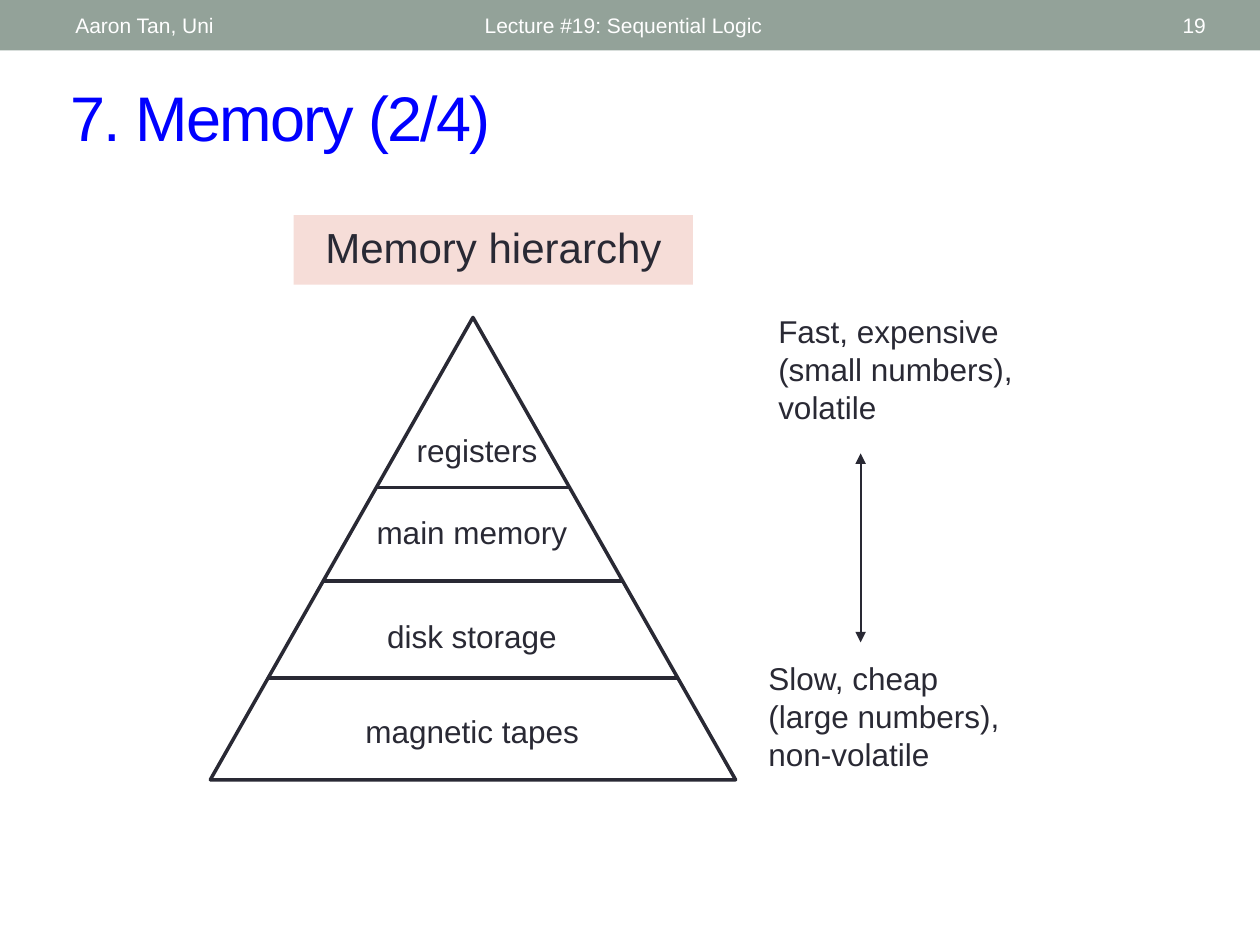
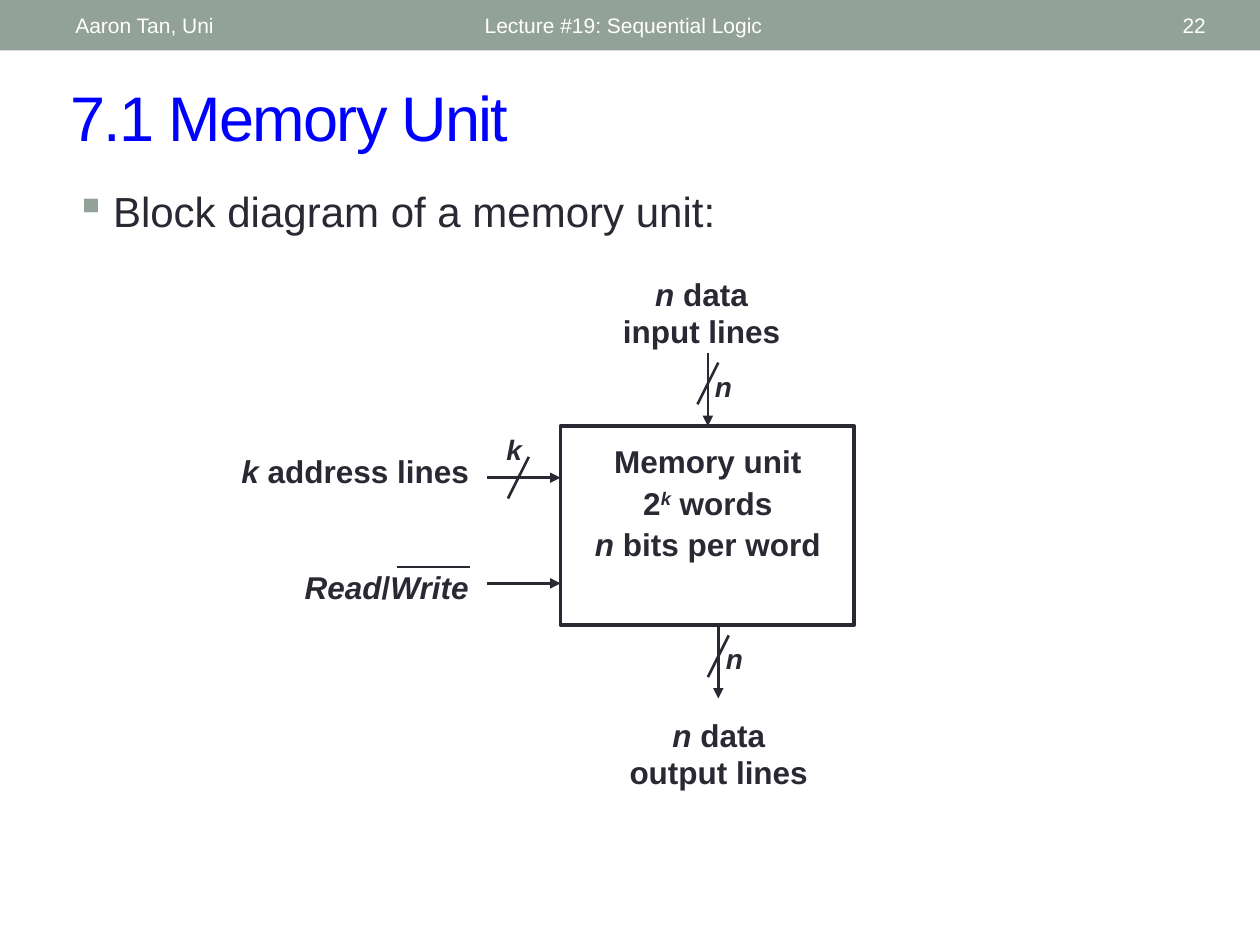
"""Build two lecture slides on the memory hierarchy and the memory unit."""
from lxml.etree import SubElement
from pptx import Presentation
from pptx.dml.color import RGBColor
from pptx.enum.shapes import MSO_CONNECTOR, MSO_SHAPE
from pptx.enum.text import MSO_ANCHOR as ANCHOR, MSO_AUTO_SIZE, PP_ALIGN as ALIGN
from pptx.oxml.ns import qn
from pptx.util import Cm, Pt

WHITE = RGBColor(0xFF, 0xFF, 0xFF)
SAGE = RGBColor(0x93, 0xA2, 0x99)
INK = RGBColor(0x29, 0x29, 0x34)
BLUE = RGBColor(0x00, 0x00, 0xFF)
PINK = RGBColor(0xF6, 0xDD, 0xD8)

ITALIC = {"italic": True}
BOLD = {"bold": True}
XML_KEYS = ("spc", "baseline")


class Deck:
    """Hold the shared style and the current slide."""

    font = "Arial"

    def __init__(self):
        self.prs = Presentation()
        self.prs.slide_width, self.prs.slide_height = Cm(25.4), Cm(19.05)
        self.slide = None

    def new_slide(self, title, number):
        """Start a slide with its band, header texts and title."""
        self.slide = self.prs.slides.add_slide(self.prs.slide_layouts[5])
        self.shape(MSO_SHAPE.RECTANGLE, (0, 0, 25.4, 1.02), fill=SAGE)
        header = {"size": 12, "color": WHITE, "anchor": ANCHOR.MIDDLE}
        self.text((9.52, 0.05, 11.43, 0.91), "Lecture #19: Sequential Logic", **header)
        self.text((22.15, 0.05, 2.41, 0.91), str(number), align=ALIGN.RIGHT, **header)
        self.text((1.27, 0.05, 8.05, 0.91), "Aaron Tan, Uni", **header)
        sp = self.slide.shapes.title
        sp.left, sp.top, sp.width, sp.height = map(Cm, (1.17, 1.45, 23.39, 1.78))
        self.set_text(sp, [[(title, {"spc": "-100"})]], size=36, color=BLUE, anchor=ANCHOR.MIDDLE)

    def set_text(self, sp, paragraphs, size=18, color=INK, align=ALIGN.LEFT,
                 anchor=ANCHOR.TOP, before=0, **base):
        """Fill a shape with paragraphs made of runs: a string or (string, format)."""
        tf = sp.text_frame
        frame = {"word_wrap": True, "auto_size": MSO_AUTO_SIZE.NONE, "vertical_anchor": anchor}
        for key, value in frame.items():
            setattr(tf, key, value)
        for i, runs in enumerate(paragraphs):
            p = tf.add_paragraph() if i else tf.paragraphs[0]
            p.alignment, p.space_before = align, Pt(before)
            for run in runs:
                text, extra = (run, {}) if isinstance(run, str) else run
                r = p.add_run()
                r.text = text
                r.font.color.rgb = color
                fmt = {"name": self.font, "size": Pt(size), **base, **extra}
                for key, value in fmt.items():
                    if key in XML_KEYS:
                        r._r.get_or_add_rPr().set(key, value)
                    else:
                        setattr(r.font, key, value)

    def text(self, box, *runs, **style):
        """Add a text box with one paragraph."""
        return self.lines(box, [runs], **style)

    def lines(self, box, paragraphs, **style):
        """Add a text box with several paragraphs."""
        sp = self.slide.shapes.add_textbox(*map(Cm, box))
        self.set_text(sp, paragraphs, **style)
        return sp

    def label(self, box, *runs, **style):
        """Add a centred label."""
        self.text(box, *runs, align=ALIGN.CENTER, **style)

    def bullet(self, box, text):
        """Add a bulleted line."""
        sp = self.text(box, text, size=24)
        pPr = sp.text_frame.paragraphs[0]._p.get_or_add_pPr()
        pPr.set("marL", str(Cm(0.76)))
        pPr.set("indent", str(-Cm(0.76)))
        clr = SubElement(pPr, qn("a:buClr"))
        SubElement(clr, qn("a:srgbClr")).set("val", str(SAGE))
        SubElement(pPr, qn("a:buChar")).set("char", "▪")

    def shape(self, kind, box, fill=None, line=None):
        """Add a preset shape with an optional fill and outline."""
        sp = self.slide.shapes.add_shape(kind, *map(Cm, box))
        sp.shadow.inherit = False
        if fill is None:
            sp.fill.background()
        else:
            sp.fill.solid()
            sp.fill.fore_color.rgb = fill
        if line is None:
            sp.line.fill.background()
        else:
            sp.line.color.rgb, sp.line.width = INK, Pt(line)
        return sp

    def line(self, x1, y1, x2, y2, width=1.5, ends=()):
        """Add a straight line, with arrowheads at the named ends."""
        c = self.slide.shapes.add_connector(MSO_CONNECTOR.STRAIGHT, *map(Cm, (x1, y1, x2, y2)))
        c.line.color.rgb, c.line.width = INK, Pt(width)
        spPr = c._element.spPr
        ln = spPr.find(qn("a:ln"))
        for end in ends:
            SubElement(ln, qn(f"a:{end}")).set("type", "triangle")
        SubElement(spPr, qn("a:effectLst"))

    def arrow(self, *points):
        """Add a one-way signal arrow."""
        self.line(*points, ends=("tailEnd",))

    def bus_mark(self, x, y):
        """Add the slash that marks a bus, centred on a point."""
        self.line(x + 0.21, y - 0.42, x - 0.21, y + 0.42)


def memory_hierarchy(deck):
    """Draw the pyramid of memory kinds."""
    deck.new_slide("7. Memory (2/4)", 19)
    left, top, width, height = pyramid = (4.24, 6.4, 10.59, 9.32)
    deck.shape(MSO_SHAPE.ISOSCELES_TRIANGLE, pyramid, line=2)
    middle = left + width / 2
    for y in (9.83, 11.71, 13.67):
        half = (y - top) / height * width / 2
        deck.line(middle - half, y, middle + half, y, width=2)
    levels = [
        ("registers", 8.13, 8.56, 2.97),
        ("main memory", 7.19, 10.21, 4.65),
        ("disk storage", 7.19, 12.32, 4.65),
        ("magnetic tapes", 6.98, 14.22, 5.08),
    ]
    for name, x, y, w in levels:
        deck.label((x, y, w, 1.02), name)
    deck.text((15.44, 6.17, 5.51, 2.54), "Fast, expensive (small numbers), volatile")
    deck.text((15.24, 13.16, 5.51, 2.54), "Slow, cheap (large numbers), non-volatile")
    deck.line(17.35, 9.14, 17.35, 12.95, width=1, ends=("headEnd", "tailEnd"))
    sp = deck.shape(MSO_SHAPE.RECTANGLE, (5.92, 4.34, 8.05, 1.4), fill=PINK)
    deck.set_text(sp, [["Memory hierarchy"]], size=24, align=ALIGN.CENTER)


def memory_unit(deck):
    """Draw the block diagram of a memory unit."""
    deck.new_slide("7.1 Memory Unit", 22)
    deck.bullet((1.27, 3.61, 22.86, 1.45), "Block diagram of a memory unit:")
    n, k = ("n", ITALIC), ("k", ITALIC)
    left, top, width, height = unit = (11.3, 8.59, 5.92, 4.01)
    deck.shape(MSO_SHAPE.RECTANGLE, unit, line=2)
    power = ("k", {**ITALIC, "baseline": "30000"})
    deck.lines((11.73, 8.79, 5.08, 2.69),
               [["Memory unit"], ["2", power, " words"], [n, " bits per word"]],
               align=ALIGN.CENTER, before=2, **BOLD)

    reach, in_x, out_x, address_y, bottom = 1.48, 14.27, 14.48, 9.63, top + height
    for y in (address_y, 11.76):
        deck.arrow(left - reach, y, left, y)
    deck.arrow(in_x, top - reach, in_x, top)
    deck.arrow(out_x, bottom, out_x, bottom + reach)
    for x, y in ((10.45, address_y), (in_x, 7.73), (out_x, 13.23)):
        deck.bus_mark(x, y)
    for run, x, y in ((k, 9.83, 8.59), (n, 14.05, 7.32), (n, 14.27, 12.8)):
        deck.label((x, y, 1.07, 0.94), run, size=16, **BOLD)

    signals = [
        ((4.52, 8.99, 5.28, 1.02), (k, " address lines")),
        ((5.79, 11.33, 4.01, 1.02), (("Read", ITALIC), "/", ("Write", ITALIC))),
        ((12.14, 5.41, 4.01, 1.78), (n, " data input lines")),
        ((12.37, 14.3, 4.24, 1.78), (n, " data output lines")),
    ]
    for box, runs in signals:
        deck.label(box, *runs, **BOLD)
    deck.line(8, 11.43, 9.47, 11.43, width=1.25)


def main():
    """Build and save the deck."""
    deck = Deck()
    memory_hierarchy(deck)
    memory_unit(deck)
    deck.prs.save("out.pptx")


if __name__ == "__main__":
    main()
